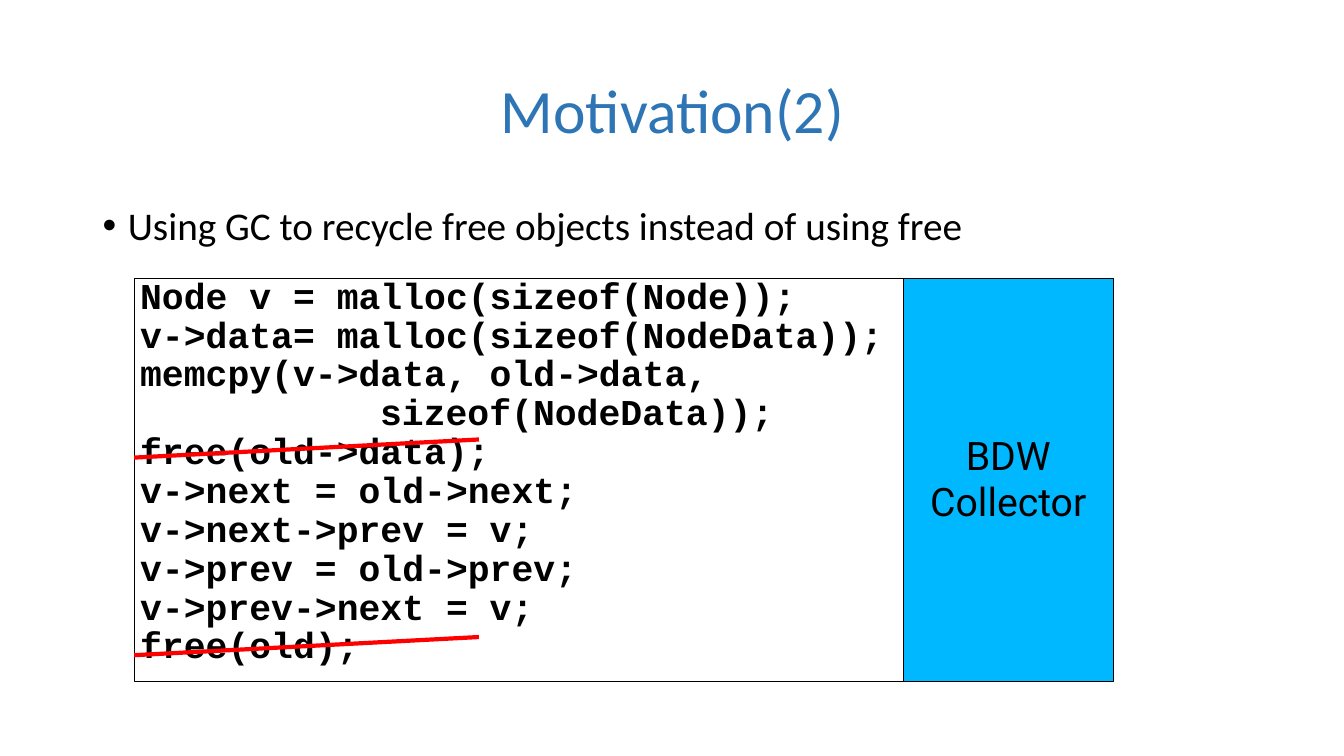
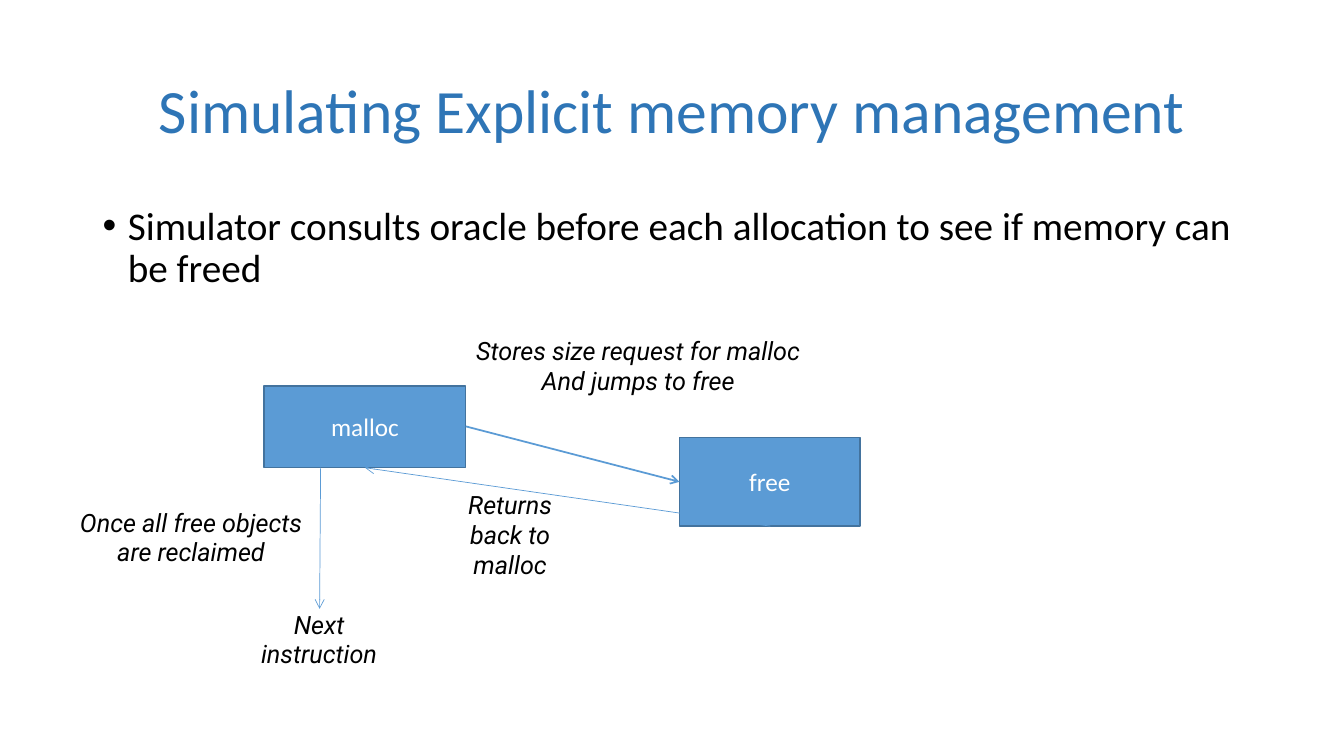
from lxml.etree import SubElement
from pptx import Presentation
from pptx.dml.color import RGBColor
from pptx.enum.shapes import MSO_CONNECTOR, MSO_SHAPE
from pptx.enum.text import MSO_ANCHOR, PP_ALIGN
from pptx.oxml.ns import qn
from pptx.util import Inches, Pt

BLACK = RGBColor(0x00, 0x00, 0x00)
WHITE = RGBColor(0xFF, 0xFF, 0xFF)
TITLE_BLUE = RGBColor(0x2E, 0x75, 0xB6)
BOX_BLUE = RGBColor(0x5B, 0x9B, 0xD5)
BOX_EDGE = RGBColor(0x43, 0x73, 0x9E)
SKY = RGBColor(0x00, 0xB8, 0xFF)
RED = RGBColor(0xFF, 0x00, 0x00)


def add_box(page, area, lines, font, size, color=BLACK, spacing=1.0, align=PP_ALIGN.CENTER,
            anchor=MSO_ANCHOR.MIDDLE, fill=None, edge=None, edge_width=0.75):
    """Add a text box, or a rectangle when an edge colour is given."""
    area = [Inches(length) for length in area]
    if edge is None:
        box = page.shapes.add_textbox(*area)
    else:
        box = page.shapes.add_shape(MSO_SHAPE.RECTANGLE, *area)
        box.shadow.inherit = False
        box.line.color.rgb = edge
        box.line.width = Pt(edge_width)
        if fill is None:
            box.fill.background()
        else:
            box.fill.solid()
            box.fill.fore_color.rgb = fill
    frame = box.text_frame
    frame.word_wrap = True
    frame.vertical_anchor = anchor
    frame.text = "\n".join(lines)
    for para in frame.paragraphs:
        para.alignment = align
        para.line_spacing = spacing
        para.font.name = font
        para.font.size = Pt(size)
        para.font.color.rgb = color
    return box


def add_line(page, start, end, color, width, arrow=False):
    line = page.shapes.add_connector(
        MSO_CONNECTOR.STRAIGHT, *[Inches(length) for length in start + end])
    line.line.color.rgb = color
    line.line.width = Pt(width)
    properties = line._element.spPr
    if arrow:
        SubElement(properties.find(qn("a:ln")), qn("a:tailEnd"), type="arrow")
    SubElement(properties, qn("a:effectLst"))


deck = Presentation()
deck.slide_width = Inches(13.33)
deck.slide_height = Inches(7.5)

# Title and bullet of every slide
pages = []
for title, bullet in [
    ("Motivation(2)", "Using GC to recycle free objects instead of using free"),
    ("Simulating Explicit memory management",
     "Simulator consults oracle before each allocation to see if memory can be freed"),
]:
    page = deck.slides.add_slide(deck.slide_layouts[6])
    add_box(page, (0.92, 0.4, 11.5, 1.45), [title], "Calibri", 44, TITLE_BLUE, 0.9)
    body = add_box(page, (0.92, 2, 11.5, 4.76), [bullet], "Calibri", 28, spacing=0.9,
                   align=PP_ALIGN.LEFT, anchor=MSO_ANCHOR.TOP)
    para = body.text_frame.paragraphs[0]
    para.space_before = Pt(10)
    properties = para._p.get_or_add_pPr()
    properties.set("marL", str(Inches(0.25)))
    properties.set("indent", str(Inches(-0.25)))
    SubElement(properties, qn("a:buFont"), typeface="Arial")
    SubElement(properties, qn("a:buChar"), char="•")
    # Bullet marks come before the default run style in the schema
    properties.append(properties.find(qn("a:defRPr")))
    pages.append(page)
motivation, simulation = pages

# Slide 1: code panel and collector
code_lines = [
    "Node v = malloc(sizeof(Node));",
    "v->data= malloc(sizeof(NodeData));",
    "memcpy(v->data, old->data,",
    "sizeof(NodeData));",
    "free(old->data);",
    "v->next = old->next;",
    "v->next->prev = v;",
    "v->prev = old->prev;",
    "v->prev->next = v;",
    "free(old);",
]
code = add_box(motivation, (1.33, 2.76, 9.31, 4), code_lines, "Courier New", 26, spacing=0.89,
               align=PP_ALIGN.LEFT, anchor=MSO_ANCHOR.TOP, edge=BLACK)
for para in code.text_frame.paragraphs:
    para.font.bold = True
continuation = code.text_frame.paragraphs[3]
continuation._p.get_or_add_pPr().set("marL", str(Inches(2.38)))
collector = add_box(motivation, (8.96, 2.76, 2.08, 4), ["BDW", "Collector"], "Roboto", 28,
                    spacing=0.98, fill=SKY, edge=BLACK)
for panel, left_inset in [(code, 0.06), (collector, 0)]:
    frame = panel.text_frame
    frame.margin_left = Inches(left_inset)
    frame.margin_top = frame.margin_right = frame.margin_bottom = 0

# Strikes through the two free calls
for top in (4.36, 6.32):
    add_line(motivation, (4.75, top), (1.33, top + 0.18), RED, 3)

# Slide 2: call boxes
for name, area in [("malloc", (2.62, 3.83, 2, 0.81)), ("free", (6.74, 4.34, 1.79, 0.88))]:
    add_box(simulation, area, [name], "Calibri", 18, WHITE,
            fill=BOX_BLUE, edge=BOX_EDGE, edge_width=1)

# Jump, return and next-instruction arrows
for start, end, width in [
    ((4.62, 4.23), (6.74, 4.78), 1.25),
    ((7.64, 5.22), (3.62, 4.64), 0.5),
    ((3.18, 4.64), (3.17, 6.04), 0.5),
]:
    add_line(simulation, start, end, BOX_BLUE, width, arrow=True)

# Arrow labels
for area, lines in [
    ((4.44, 4.82, 1.24, 0.99), ["Returns back to malloc"]),
    ((4.57, 3.29, 3.52, 0.7), ["Stores size request for malloc", "And jumps to free"]),
    ((2.45, 6, 1.43, 0.7), ["Next instruction"]),
    ((0.55, 4.99, 2.69, 0.7), ["Once all free objects are reclaimed"]),
]:
    label = add_box(simulation, area, lines, "Roboto", 18, spacing=0.98)
    for para in label.text_frame.paragraphs:
        para.font.italic = True

deck.save("out.pptx")
